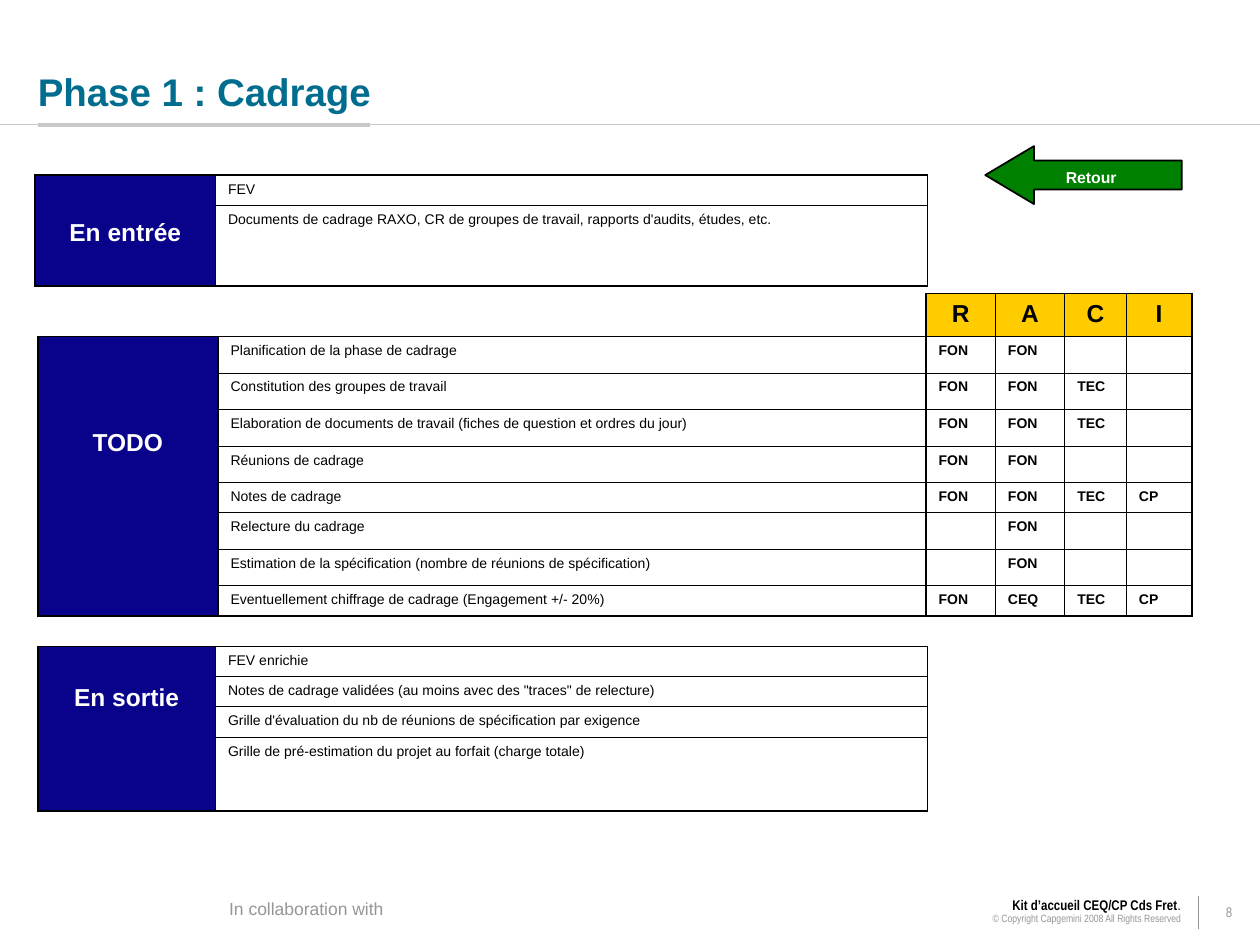
from lxml.etree import SubElement
from pptx import Presentation
from pptx.dml.color import RGBColor
from pptx.enum.shapes import MSO_CONNECTOR, MSO_SHAPE
from pptx.enum.text import MSO_ANCHOR, PP_ALIGN
from pptx.oxml.ns import qn
from pptx.util import Inches, Pt

BLACK, WHITE, GREY, RULE = "000000", "FFFFFF", "969696", "C8C8C8"
NAVY, GOLD, GREEN, TEAL = "09038B", "FFCC00", "008000", "006C8E"
LEFT, MID, RIGHT = PP_ALIGN.LEFT, PP_ALIGN.CENTER, PP_ALIGN.RIGHT
NARROW = "Arial Narrow"
THICK, THIN = 1.08, 0.45


def color(code):
    return RGBColor.from_string(code)


class Deck:
    font = "Arial"

    def __init__(self, wide, high):
        self.file = Presentation()
        self.file.slide_width = Inches(wide)
        self.file.slide_height = Inches(high)
        self.slide = self.file.slides.add_slide(self.file.slide_layouts[6])

    def run(self, para, text, size, tint=BLACK, bold=False, font=None):
        run = para.add_run()
        run.text = text
        run.font.name = font or self.font
        run.font.size = Pt(size)
        run.font.bold = bold
        run.font.color.rgb = color(tint)

    def line(self, x1, y1, x2, y2, tint, width):
        ends = [Inches(n) for n in (x1, y1, x2, y2)]
        line = self.slide.shapes.add_connector(MSO_CONNECTOR.STRAIGHT, *ends)
        line.line.color.rgb = color(tint)
        line.line.width = Pt(width)
        SubElement(line._element.spPr, qn("a:effectLst"))

    def text(self, box, paras, align=LEFT, anchor=MSO_ANCHOR.TOP,
             pad=(0.1, 0.05), space=1.0, wrap=True):
        """Each paragraph is a list of runs, each run the arguments of run()."""
        frame = self.slide.shapes.add_textbox(*map(Inches, box)).text_frame
        frame.word_wrap = wrap
        frame.vertical_anchor = anchor
        frame.margin_left = frame.margin_right = Inches(pad[0])
        frame.margin_top = frame.margin_bottom = Inches(pad[1])
        for i, runs in enumerate(paras):
            para = frame.add_paragraph() if i else frame.paragraphs[0]
            para.alignment = align
            para.line_spacing = space
            for run in runs:
                self.run(para, *run)

    def arrow(self, box, fill, adjust):
        shape = self.slide.shapes.add_shape(MSO_SHAPE.LEFT_ARROW, *map(Inches, box))
        shape.shadow.inherit = False
        shape.fill.solid()
        shape.fill.fore_color.rgb = color(fill)
        shape.line.color.rgb = color(BLACK)
        shape.line.width = Pt(1)
        for i, value in enumerate(adjust):
            shape.adjustments[i] = value

    def table(self, x, y, cols, rows):
        """Add an empty, unstyled table."""
        box = map(Inches, (x, y, sum(cols), sum(rows)))
        table = self.slide.shapes.add_table(len(rows), len(cols), *box).table
        table.first_row = table.horz_banding = False
        for col, width in zip(table.columns, cols):
            col.width = Inches(width)
        for row, height in zip(table.rows, rows):
            row.height = Inches(height)
        for cell in table.iter_cells():
            cell.fill.background()
        return table

    def cell(self, cell, text, size=8, tint=BLACK, bold=False,
             align=LEFT, fill=None, top=0.05):
        cell.margin_left = cell.margin_right = Inches(0.1)
        cell.margin_top, cell.margin_bottom = Inches(top), Inches(0.05)
        if fill:
            cell.fill.solid()
            cell.fill.fore_color.rgb = color(fill)
        para = cell.text_frame.paragraphs[0]
        para.alignment = align
        if text:
            self.run(para, text, size, tint, bold)

    def label(self, table, row, text, top):
        """Merge the first column from row down and name the block."""
        first = table.cell(row, 0)
        first.merge(table.cell(len(table.rows) - 1, 0))
        self.cell(first, text, 14, WHITE, True, MID, NAVY, top)

    def frame(self, table, cols, rows, bare=0):
        """Rule the grid, thick at the given grid lines; the first bare
        cells of the top row stay open at the left and top."""
        for r, row in enumerate(table.rows):
            for c, cell in enumerate(row.cells):
                right = c + (cell.span_width if cell.is_merge_origin else 1)
                low = r + (cell.span_height if cell.is_merge_origin else 1)
                bold = (c in cols, right in cols, r in rows, low in rows)
                prop = cell._tc.get_or_add_tcPr()
                for i, (side, thick) in enumerate(zip("LRTB", bold)):
                    open_ = r == 0 and c < bare and side in "LT"
                    width = 0.11 if open_ else THICK if thick else THIN
                    edge = SubElement(prop, qn("a:ln" + side), w=str(Pt(width)))
                    fill = SubElement(edge, qn("a:solidFill"))
                    SubElement(fill, qn("a:srgbClr"), val=WHITE if open_ else BLACK)
                    prop.insert(i, edge)
                if not cell.text:
                    para = cell.text_frame.paragraphs[0]
                    SubElement(para._p, qn("a:endParaRPr"), sz="800")

    def block(self, x, y, cols, rows, name, top, items, thick):
        """A named block with one column of items."""
        table = self.table(x, y, cols, rows)
        self.label(table, 0, name, top)
        for r, item in enumerate(items):
            self.cell(table.cell(r, 1), item)
        self.frame(table, thick, {0, len(rows)})


INPUTS = [
    "FEV",
    "Documents de cadrage RAXO, CR de groupes de travail, "
    "rapports d'audits, études, etc.",
]
OUTPUTS = [
    "FEV enrichie",
    'Notes de cadrage validées (au moins avec des "traces" de relecture)',
    "Grille d'évaluation du nb de réunions de spécification par exigence",
    "Grille de pré-estimation du projet au forfait (charge totale)",
]
TASKS = [
    ("Planification de la phase de cadrage", "FON", "FON", "", ""),
    ("Constitution des groupes de travail", "FON", "FON", "TEC", ""),
    ("Elaboration de documents de travail (fiches de question et ordres du jour)",
     "FON", "FON", "TEC", ""),
    ("Réunions de cadrage", "FON", "FON", "", ""),
    ("Notes de cadrage", "FON", "FON", "TEC", "CP"),
    ("Relecture du cadrage", "", "FON", "", ""),
    ("Estimation de la spécification (nombre de réunions de spécification)",
     "", "FON", "", ""),
    ("Eventuellement chiffrage de cadrage (Engagement +/- 20%)",
     "FON", "CEQ", "TEC", "CP"),
]


def main():
    deck = Deck(10, 7.5)

    deck.line(0, 0.99, 10, 0.99, RULE, 0.75)
    deck.line(0.3, 0.99, 2.94, 0.99, RULE, 2.25)
    deck.text((0.3, 0, 9.49, 0.91), [[("Phase 1 : Cadrage", 22, TEAL, True)]],
              anchor=MSO_ANCHOR.BOTTOM, pad=(0, 0))

    deck.text((1.72, 7.1, 1.42, 0.24), [[("In collaboration with", 10, GREY)]],
              MID, space=0.85, wrap=False)
    deck.line(9.51, 7.11, 9.51, 7.37, GREY, 0.75)
    deck.text((9.51, 7.11, 0.49, 0.27), [[("8", 8, GREY, False, NARROW)]],
              MID, MSO_ANCHOR.MIDDLE, space=0.85)
    deck.text((4.49, 7.09, 4.98, 0.3), [
        [("Kit d’accueil CEQ/CP Cds Fret", 8, BLACK, True, NARROW),
         (".", 8, BLACK, False, NARROW)],
        [("© Copyright Capgemini 2008 All Rights Reserved", 6, GREY, False, NARROW)],
    ], RIGHT, space=0.85)

    deck.block(0.28, 1.39, [1.43, 5.65], [0.24, 0.64],
               "En entrée", 0.35, INPUTS, {0, 1, 2})
    deck.block(0.3, 5.13, [1.41, 5.65], [0.24] * 3 + [0.59],
               "En sortie", 0.3, OUTPUTS, {0, 2})

    # A task row with an empty role is a little taller.
    high = [0.24 if all(task) else 0.29 for task in TASKS]
    todo = deck.table(0.3, 2.33, [1.43, 5.62, 0.55, 0.55, 0.49, 0.52], [0.34] + high)
    todo.cell(0, 0).merge(todo.cell(0, 1))
    for c, role in enumerate("RACI", 2):
        deck.cell(todo.cell(0, c), role, 14, BLACK, True, MID, GOLD)
    deck.label(todo, 1, "TODO", 0.74)
    for r, task in enumerate(TASKS, 1):
        for c, text in enumerate(task, 1):
            deck.cell(todo.cell(r, c), text, bold=c > 1)
    deck.frame(todo, {0, 1, 2, 6}, {0, 1, 9}, bare=2)

    deck.arrow((7.82, 1.16, 1.56, 0.46), GREEN, (0.5, 0.84))
    deck.text((7.95, 1.28, 1.42, 0.25), [[("Retour", 9, WHITE, True)]], MID)

    deck.file.save("out.pptx")


if __name__ == "__main__":
    main()
